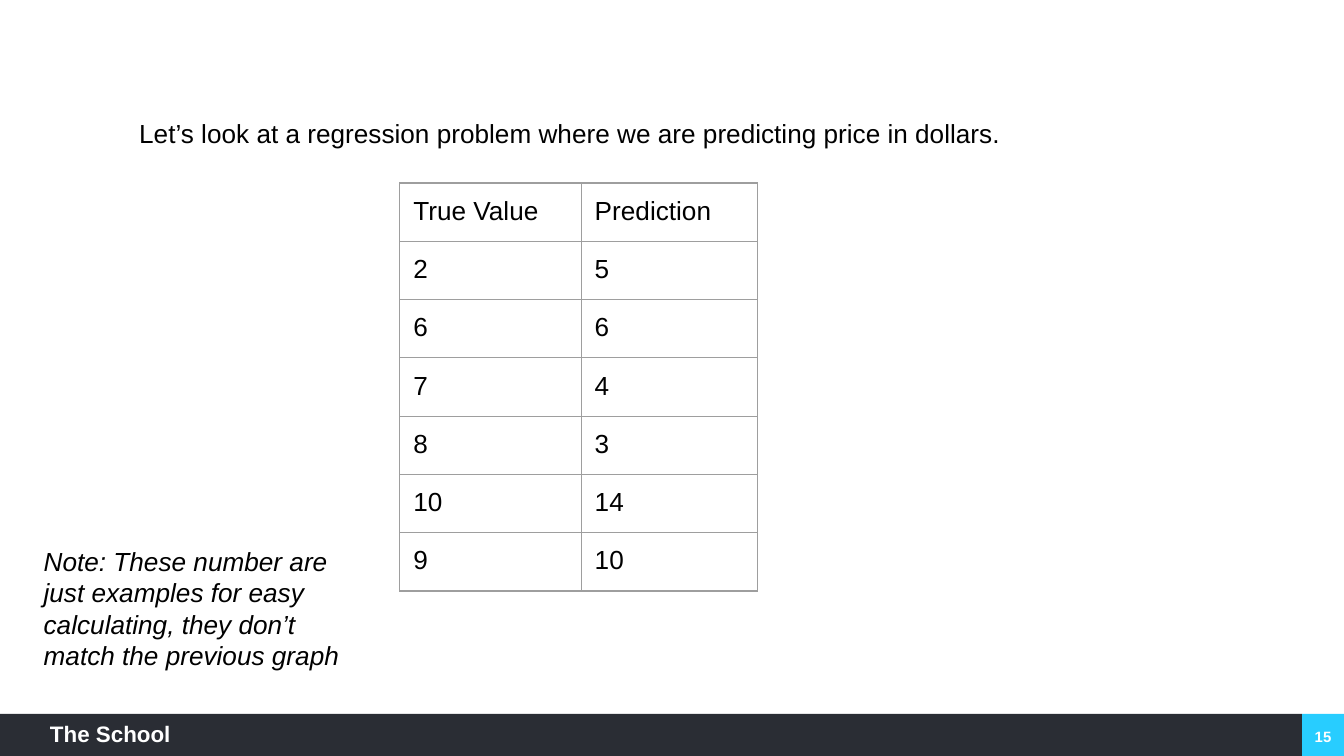
from dataclasses import dataclass

from lxml import etree
from pptx import Presentation
from pptx import util as u
from pptx.dml.color import RGBColor
from pptx.enum import shapes, text
from pptx.oxml.ns import qn


@dataclass(frozen=True)
class Theme:
    font: str = "Arial"
    ink: str = "000000"
    paper: str = "FFFFFF"
    bar: str = "2A2D34"
    accent: str = "28CDFF"
    grid: str = "9E9E9E"
    body: float = 14
    brand: float = 12
    number: float = 8
    inset: float = 7.2
    rule: float = 0.75


class Deck:
    def __init__(self, theme, width, height):
        self.theme = theme
        self.prs = Presentation()
        self.prs.slide_width, self.prs.slide_height = u.Pt(width), u.Pt(height)
        self.s = self.prs.slides.add_slide(self.prs.slide_layouts[6])

    def style(self, p, size, color, bold=False, italic=False):
        f = p.font
        f.name, f.size, f.bold, f.italic = self.theme.font, u.Pt(size), bold, italic
        f.color.rgb = RGBColor.from_string(color)

    def rect(self, x, y, w, h, color):
        sp = self.s.shapes.add_shape(shapes.MSO_SHAPE.RECTANGLE, *map(u.Pt, (x, y, w, h)))
        sp.shadow.inherit = False
        sp.fill.solid()
        sp.fill.fore_color.rgb = RGBColor.from_string(color)
        sp.line.fill.background()

    def label(self, x, y, w, h, words, size, color, inset=(0, 0), centered=False, **look):
        tf = self.s.shapes.add_textbox(*map(u.Pt, (x, y, w, h))).text_frame
        tf.word_wrap = True
        tf.margin_left = tf.margin_right = u.Pt(inset[0])
        tf.margin_top = tf.margin_bottom = u.Pt(inset[1])
        p = tf.paragraphs[0]
        p.text = words
        if centered:
            tf.vertical_anchor = text.MSO_ANCHOR.MIDDLE
            p.alignment = text.PP_ALIGN.CENTER
        self.style(p, size, color, **look)

    def body(self, x, y, w, h, words, **look):
        t = self.theme
        self.label(x, y, w, h, words, t.body, t.ink, (t.inset, t.inset), **look)

    def border(self, cell):
        props = cell._tc.get_or_add_tcPr()
        for i, side in enumerate(("lnL", "lnR", "lnT", "lnB")):
            ln = etree.Element(qn(f"a:{side}"), w=str(u.Pt(self.theme.rule)))
            fill = etree.SubElement(ln, qn("a:solidFill"))
            etree.SubElement(fill, qn("a:srgbClr"), val=self.theme.grid)
            props.insert(i, ln)  # borders come before the cell fill

    def table(self, x, y, widths, row_height, rows):
        t = self.theme
        frame = self.s.shapes.add_table(
            len(rows), len(widths),
            *map(u.Pt, (x, y, sum(widths), row_height * len(rows))))
        tbl = frame.table
        tbl.first_row = tbl.horz_banding = False
        for col, width in zip(tbl.columns, widths):
            col.width = u.Pt(width)
        for row, values in zip(tbl.rows, rows):
            row.height = u.Pt(row_height)
            for cell, value in zip(row.cells, values):
                cell.margin_left = cell.margin_right = u.Pt(t.inset)
                cell.margin_top = cell.margin_bottom = u.Pt(t.inset)
                cell.fill.background()
                self.border(cell)
                p = cell.text_frame.paragraphs[0]
                p.text = str(value)
                self.style(p, t.body, t.ink)


def main():
    t = Theme()
    width, height = 720, 405
    deck = Deck(t, width, height)

    # Footer bar and slide number
    tile = 22.5
    top = height - tile
    deck.rect(width - tile, top, tile, tile, t.accent)
    deck.rect(0, top, width - tile, tile, t.bar)
    deck.label(26.8, 386, 113, 16.5, "The School", t.brand, t.paper, bold=True)
    deck.label(698, 383.6, 21.6, 21.6, "15", t.number, t.paper, (5, 3),
               centered=True, bold=True)

    # Introduction
    deck.body(67.5, 55.5, 517, 48,
              "Let’s look at a regression problem where we are predicting price in dollars.")

    # True values against predictions
    deck.table(214.2, 98, (97.2, 94.3), 30.2, [
        ("True Value", "Prediction"),
        (2, 5), (6, 6), (7, 4), (8, 3), (10, 14), (9, 10),
    ])

    # Note
    deck.body(16.3, 285, 182, 82,
              "Note: These number are just examples for easy calculating, "
              "they don’t match the previous graph", italic=True)

    deck.prs.save("out.pptx")


if __name__ == "__main__":
    main()
